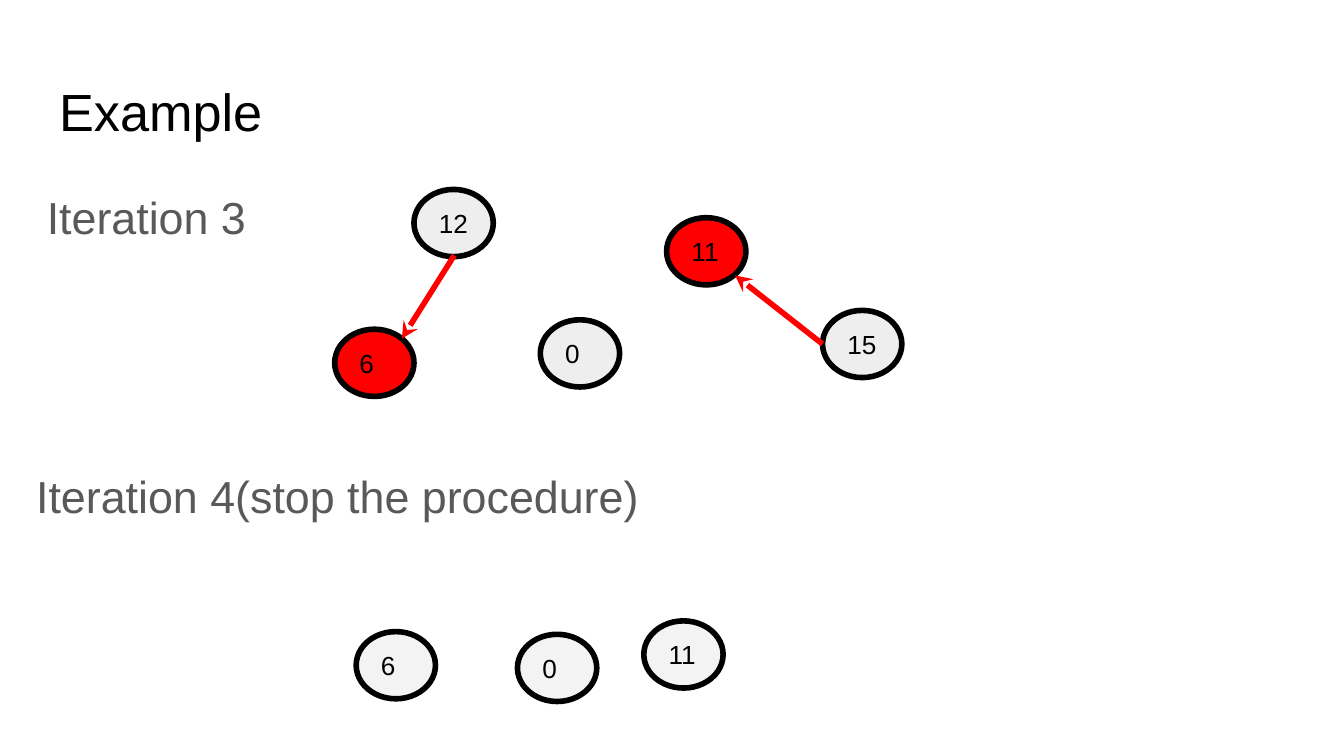
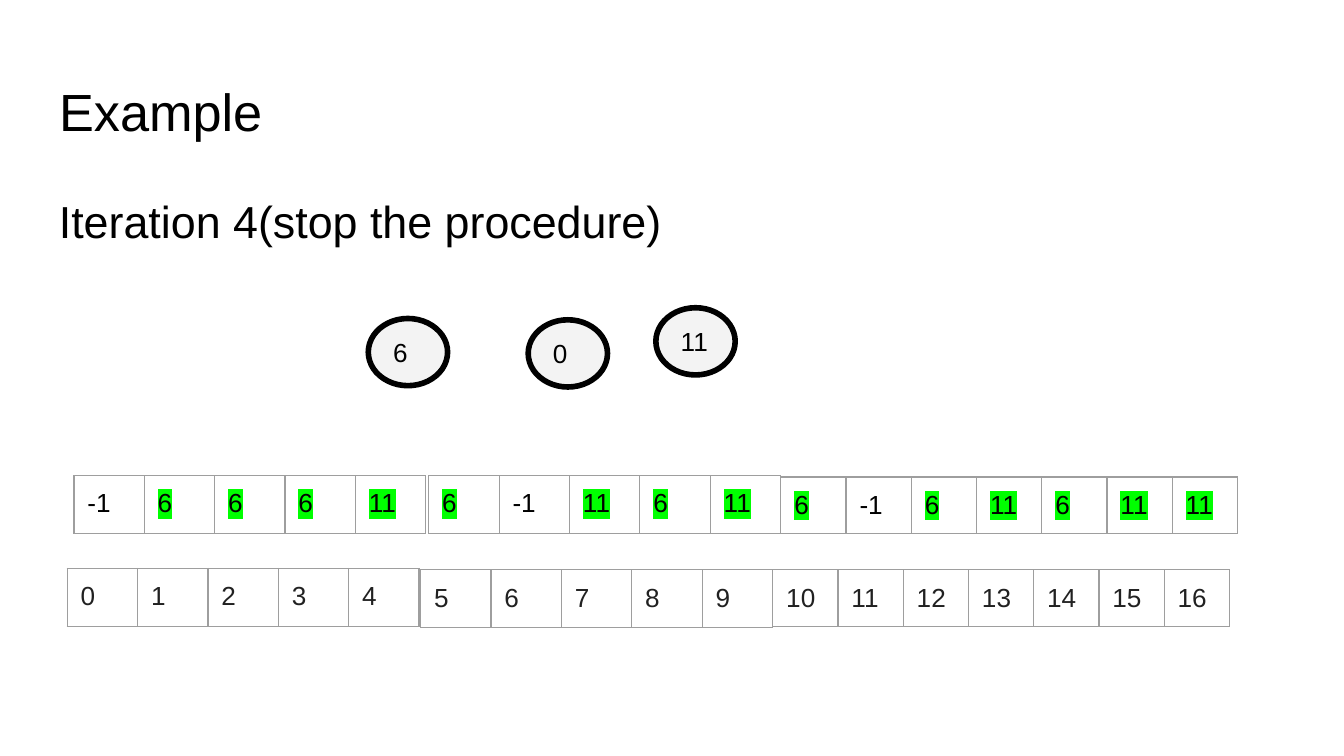
"""Build two slides that end a worked example of merging nodes by iteration."""
from lxml import etree
from pptx import Presentation
from pptx.dml.color import RGBColor
from pptx.enum.shapes import MSO_CONNECTOR, MSO_SHAPE
from pptx.enum.text import MSO_ANCHOR, MSO_AUTO_SIZE, PP_ALIGN
from pptx.oxml.ns import qn
from pptx.util import Inches, Pt

OVAL = MSO_SHAPE.OVAL
STRAIGHT = MSO_CONNECTOR.STRAIGHT
TOP, MIDDLE = MSO_ANCHOR.TOP, MSO_ANCHOR.MIDDLE
LEFT = PP_ALIGN.LEFT
NO_AUTOFIT = MSO_AUTO_SIZE.NONE

FONT = "Arial"
BLACK = RGBColor(0x00, 0x00, 0x00)
GRAY = RGBColor(0x59, 0x59, 0x59)
INDEX_GRAY = RGBColor(0x21, 0x21, 0x21)
BORDER_GRAY = RGBColor(0x9E, 0x9E, 0x9E)
ACTIVE_FILL = RGBColor(0xEE, 0xEE, 0xEE)
FINAL_FILL = RGBColor(0xF3, 0xF3, 0xF3)
RED = RGBColor(0xFF, 0x00, 0x00)
GREEN = RGBColor(0x00, 0xFF, 0x00)

NODE_WIDTH, NODE_HEIGHT = 0.59, 0.5
MARGIN = Inches(0.1)


def write_text(text_frame, text, size, color, anchor=TOP):
    """Fill a text frame with one left-aligned paragraph and return it."""
    text_frame.word_wrap = True
    text_frame.auto_size = NO_AUTOFIT
    text_frame.vertical_anchor = anchor
    text_frame.margin_left = text_frame.margin_right = MARGIN
    text_frame.margin_top = text_frame.margin_bottom = MARGIN
    text_frame.text = text
    paragraph = text_frame.paragraphs[0]
    paragraph.alignment = LEFT
    font = paragraph.runs[0].font
    font.name, font.size = FONT, Pt(size)
    font.color.rgb = color
    return paragraph


def add_array(slide, left, top, width, height, values, color, highlighted):
    """Add a one-row table, with merged values highlighted on request."""
    frame = slide.shapes.add_table(1, len(values), Inches(left), Inches(top),
                                   Inches(width), Inches(height))
    table = frame.table
    table.first_row = table.horz_banding = False
    for column, value in enumerate(values):
        table.columns[column].width = Inches(width / len(values))
        cell = table.cell(0, column)
        cell.margin_left = cell.margin_right = MARGIN
        cell.margin_top = cell.margin_bottom = MARGIN
        cell.text = str(value)
        font = cell.text_frame.paragraphs[0].runs[0].font
        font.name, font.size = FONT, Pt(14)
        font.color.rgb = color
        if highlighted and value != -1:
            highlight = etree.Element(qn("a:highlight"))
            etree.SubElement(highlight, qn("a:srgbClr"), val=str(GREEN))
            font.fill._xPr.find(qn("a:solidFill")).addnext(highlight)
        properties = cell._tc.get_or_add_tcPr()
        for side in ("a:lnL", "a:lnR", "a:lnT", "a:lnB"):
            border = etree.SubElement(properties, qn(side), w=str(Pt(0.75)))
            fill = etree.SubElement(border, qn("a:solidFill"))
            etree.SubElement(fill, qn("a:srgbClr"), val=str(BORDER_GRAY))
        cell.fill.background()
    table.rows[0].height = Inches(height)


presentation = Presentation()
presentation.slide_width = Inches(10)
presentation.slide_height = Inches(5.625)

headings = [
    [("Iteration 3", 0.25, 1.25, 2.3, GRAY, 16),
     ("Iteration 4(stop the procedure)", 0.17, 3.33, 5.95, GRAY, 16)],
    [("Iteration 4(stop the procedure)", 0.34, 1.28, 9.06, BLACK, 0)],
]
nodes = [
    [("6", 2.49, 2.45, RED), ("0", 4.02, 2.38, ACTIVE_FILL),
     ("11", 4.96, 1.62, RED), ("15", 6.12, 2.31, ACTIVE_FILL),
     ("12", 3.08, 1.41, ACTIVE_FILL), ("6", 2.65, 4.7, FINAL_FILL),
     ("0", 3.85, 4.72, FINAL_FILL), ("11", 4.79, 4.62, FINAL_FILL)],
    [("6", 2.74, 2.37, FINAL_FILL), ("0", 3.93, 2.38, FINAL_FILL),
     ("11", 4.88, 2.29, FINAL_FILL)],
]
merge_arrows = [[(2.99, 2.52, 3.38, 1.9), (5.47, 2.05, 6.12, 2.56)], []]

for slide_headings, slide_nodes, slide_arrows in zip(headings, nodes, merge_arrows):
    slide = presentation.slides.add_slide(presentation.slide_layouts[5])
    title = slide.shapes.title
    title.left, title.top = Inches(0.34), Inches(0.49)
    title.width, title.height = Inches(9.32), Inches(0.63)
    write_text(title.text_frame, "Example", 28, BLACK)

    for text, left, top, width, color, space_after in slide_headings:
        box = slide.shapes.add_textbox(Inches(left), Inches(top), Inches(width), Inches(0.71))
        paragraph = write_text(box.text_frame, text, 24, color)
        paragraph.line_spacing = 1.15
        paragraph.space_after = Pt(space_after)

    for label, left, top, color in slide_nodes:
        node = slide.shapes.add_shape(OVAL, Inches(left), Inches(top),
                                      Inches(NODE_WIDTH), Inches(NODE_HEIGHT))
        node.shadow.inherit = False
        node.fill.solid()
        node.fill.fore_color.rgb = color
        node.line.color.rgb = BLACK
        node.line.width = Pt(3)
        write_text(node.text_frame, label, 14, BLACK, MIDDLE)

    for ends in slide_arrows:
        arrow = slide.shapes.add_connector(STRAIGHT, *[Inches(value) for value in ends])
        arrow.line.color.rgb = RED
        arrow.line.width = Pt(3)
        etree.SubElement(arrow.line._get_or_add_ln(), qn("a:headEnd"), type="stealth")
        etree.SubElement(arrow._element.spPr, qn("a:effectLst"))

parents = [-1, 6, 6, 6, 11, 6, -1, 11, 6, 11, 6, -1, 6, 11, 6, 11, 11]
indices = list(range(len(parents)))
array_parts = [
    (0, 5, 2.62, 0.43, (0.55, 3.54), (0.5, 4.23)),
    (5, 10, 2.62, 0.43, (3.19, 3.54), (3.13, 4.24)),
    (10, 17, 3.4, 0.42, (5.81, 3.55), (5.75, 4.24)),
]
for start, stop, width, height, parent_place, index_place in array_parts:
    add_array(slide, *parent_place, width, height, parents[start:stop], BLACK, True)
    add_array(slide, *index_place, width, height, indices[start:stop], INDEX_GRAY, False)

presentation.save("out.pptx")
